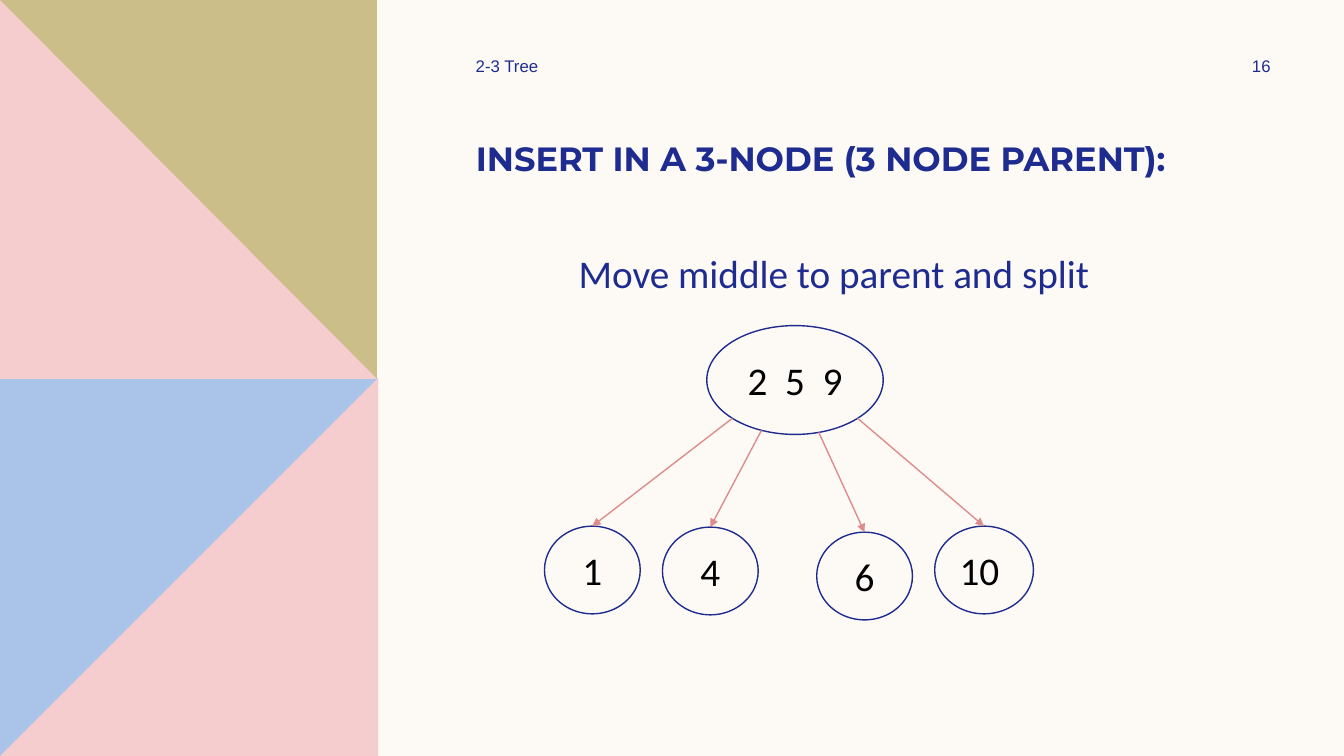
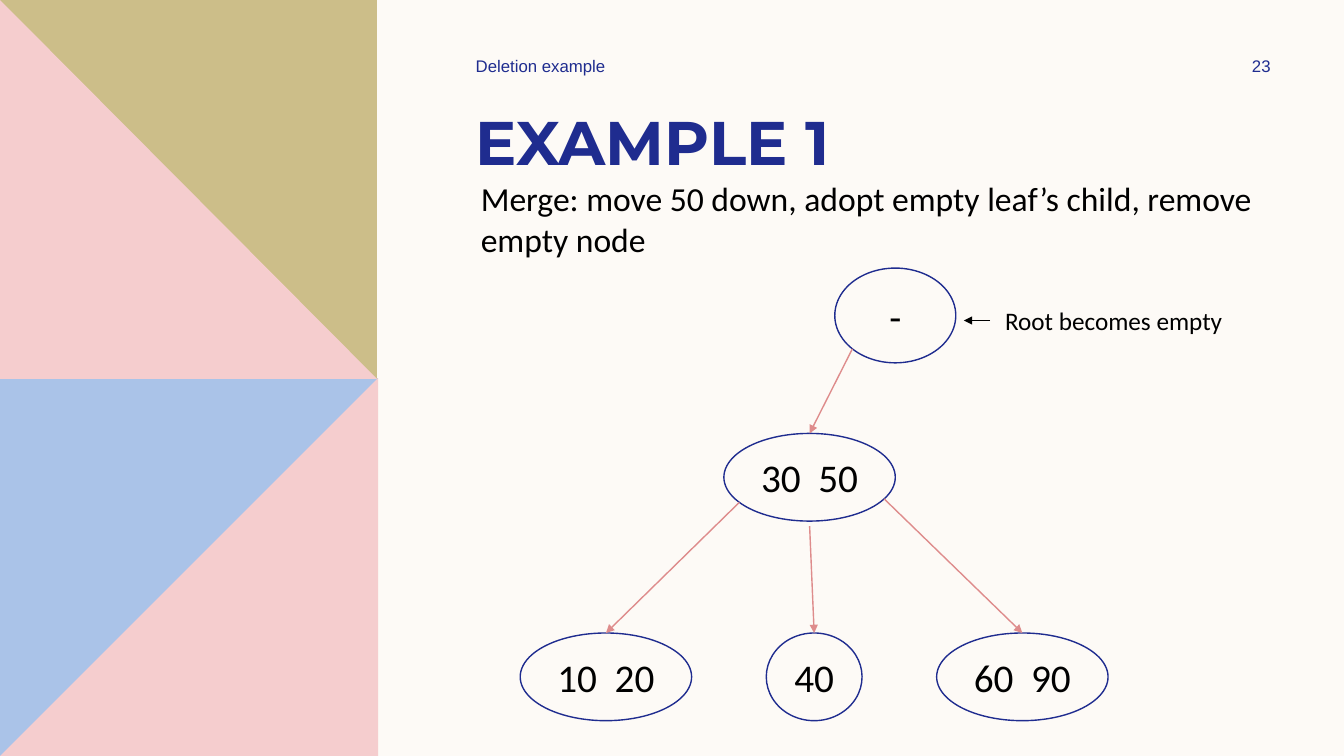
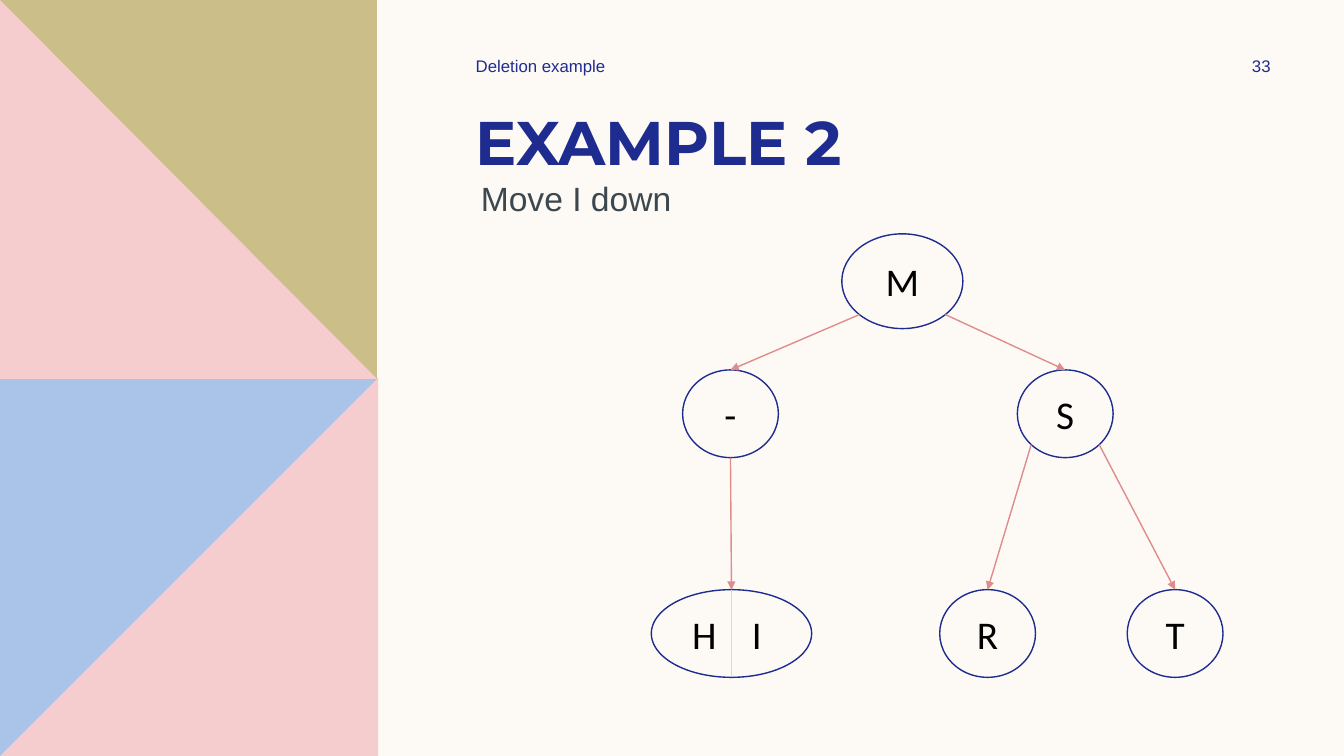
from dataclasses import dataclass
from math import sqrt

from lxml import etree
from pptx import Presentation
from pptx.dml.color import RGBColor
from pptx.enum.shapes import MSO_CONNECTOR, MSO_SHAPE
from pptx.enum.text import MSO_ANCHOR, PP_ALIGN
from pptx.oxml.ns import qn
from pptx.util import Inches, Pt

LEFT, CENTER = PP_ALIGN.LEFT, PP_ALIGN.CENTER
TOP, MIDDLE = MSO_ANCHOR.TOP, MSO_ANCHOR.MIDDLE
OVAL, STRAIGHT = MSO_SHAPE.OVAL, MSO_CONNECTOR.STRAIGHT
TITLE_ONLY = 5
DIAGONAL = 0.71  # share of the half width at 45 degrees on an ellipse


@dataclass(frozen=True)
class Theme:
    paper: str = "FDFAF6"
    navy: str = "1F2C8F"
    black: str = "000000"
    slate: str = "3C484E"
    pink: str = "F5CDCE"
    blue: str = "AAC3E8"
    olive: str = "CCBE89"
    arrow: str = "DE8C8C"
    title_font: str = "Montserrat"
    node_font: str = "Calibri"
    text_font: str = "Arial"
    title_size: int = 44
    node_size: int = 28
    text_size: int = 24
    note_size: int = 18
    footer_size: int = 12


def color(value):
    return RGBColor.from_string(value)


class Deck:
    def __init__(self, theme):
        self.theme = theme
        self.presentation = Presentation()
        self.presentation.slide_width = Inches(13.33)
        self.presentation.slide_height = Inches(7.5)
        self.layout = self.presentation.slide_layouts[TITLE_ONLY]
        self.slide = None
        background = self.presentation.slide_master.background.fill
        background.solid()
        background.fore_color.rgb = color(theme.paper)

    def style_run(self, run, font, size, ink, bold=False):
        run.font.name = font
        run.font.size = Pt(size)
        run.font.color.rgb = color(ink)
        run.font.bold = bold

    def add_slide(self, title, section, number, top=0.98, size=None):
        theme = self.theme
        first = self.slide is None
        self.slide = self.presentation.slides.add_slide(self.layout)
        if first:
            self.add_band()
        shape = self.slide.shapes.title
        shape.left, shape.top = Inches(4.62), Inches(top)
        shape.width, shape.height = Inches(7.4), Inches(0.84)
        shape.text_frame.text = title
        shape.text_frame.vertical_anchor = TOP
        paragraph = shape.text_frame.paragraphs[0]
        paragraph.alignment = LEFT
        self.style_run(paragraph.runs[0], theme.title_font,
                       size or theme.title_size, theme.navy, True)
        footer = dict(font=theme.text_font, size=theme.footer_size,
                      ink=theme.navy, anchor=MIDDLE)
        self.text(section, 4.62, 0.5, 3.5, 0.3, **footer)
        self.text(number, 11.97, 0.5, 1.08, 0.3, align=CENTER, **footer)

    def add_band(self):
        """Draw the triangles once and keep them on the shared layout."""
        theme = self.theme
        self.polygon(theme.blue, (0, 3.75), (3.75, 3.75), (3.75, 7.5), (0, 7.5))
        self.polygon(theme.pink, (3.75, 3.75), (3.75, 7.5), (0, 7.5))
        self.polygon(theme.olive, (0, 0), (3.74, 0), (3.74, 3.76), (0, 3.76))
        self.polygon(theme.pink, (0, 0), (3.74, 3.76), (0, 3.76))

    def polygon(self, fill, *points):
        corners = [(Inches(x), Inches(y)) for x, y in points]
        builder = self.slide.shapes.build_freeform(*corners[0])
        builder.add_line_segments(corners[1:], close=True)
        shape = builder.convert_to_shape()
        shape.shadow.inherit = False
        shape.fill.solid()
        shape.fill.fore_color.rgb = color(fill)
        shape.line.fill.background()
        self.layout.shapes._spTree.append(shape._element)

    def text(self, content, left, top, width, height, font, size, ink,
             align=LEFT, anchor=TOP, space_before=0, wrap=True):
        box = self.slide.shapes.add_textbox(
            Inches(left), Inches(top), Inches(width), Inches(height))
        frame = box.text_frame
        frame.text = content
        frame.word_wrap = wrap
        frame.vertical_anchor = anchor
        paragraph = frame.paragraphs[0]
        paragraph.alignment = align
        paragraph.space_before = Pt(space_before)
        self.style_run(paragraph.runs[0], font, size, ink)

    def node(self, keys, left, top, width=0.95, height=0.87, gap=6.3, shift=0):
        """Ellipse with its keys; gap (points) widens the space between keys."""
        theme = self.theme
        shape = self.slide.shapes.add_shape(
            OVAL, Inches(left), Inches(top), Inches(width), Inches(height))
        shape.shadow.inherit = False
        shape.fill.solid()
        shape.fill.fore_color.rgb = color(theme.paper)
        shape.line.color.rgb = color(theme.navy)
        shape.line.width = Pt(1)
        frame = shape.text_frame
        frame.vertical_anchor = MIDDLE
        frame.margin_left = Inches(0.05)
        frame.margin_right = Inches(0.05 + shift)
        paragraph = frame.paragraphs[0]
        paragraph.alignment = CENTER
        for index, key in enumerate(keys.split()):
            if index:
                space = paragraph.add_run()
                space.text = " "
                space._r.get_or_add_rPr().set("spc", str(round(gap * 100)))
            paragraph.add_run().text = key
        for run in paragraph.runs:
            self.style_run(run, theme.node_font, theme.node_size, theme.black)
        return shape

    def line(self, start, end, ink, width, arrowhead=True):
        connector = self.slide.shapes.add_connector(STRAIGHT, *start, *end)
        connector.line.color.rgb = color(ink)
        connector.line.width = Pt(width)
        if arrowhead:
            outline = connector.line._get_or_add_ln()
            etree.SubElement(outline, qn("a:tailEnd"), type="triangle")
        etree.SubElement(connector._element.spPr, qn("a:effectLst"))

    def branch(self, parent, child, lean, gap=0):
        """Arrow from the parent's lower edge to the top of the child.

        lean is the start's place, from -1 (left end) to 1 (right end).
        """
        half_width, half_height = parent.width / 2, parent.height / 2
        drop = half_height * (1 + sqrt(1 - lean ** 2))
        start = (int(parent.left + half_width * (1 + lean)),
                 int(parent.top + drop + Inches(gap)))
        end = (child.left + child.width // 2, child.top)
        self.line(start, end, self.theme.arrow, 1)


theme = Theme()
deck = Deck(theme)

# Insertion: the parent takes a third key
deck.add_slide("INSERT IN A 3-NODE (3 NODE PARENT):", "2-3 Tree", "16",
               top=1.32, size=24)
deck.text("Move middle to parent and split", 4.57, 2.42, 7.4, 0.6,
          theme.node_font, theme.node_size, theme.navy, CENTER,
          space_before=3.6)
root = deck.node("2 5 9", 7.01, 3.23, 1.75, 1.08)
leaves = [
    (deck.node("1", 5.4, 5.22), -DIAGONAL),
    (deck.node("4", 6.57, 5.23), -0.38),
    (deck.node("6", 8.1, 5.28), 0.27),
    (deck.node("10", 9.27, 5.22, 0.98, shift=0.09), DIAGONAL),
]
for leaf, lean in leaves:
    deck.branch(root, leaf, lean)

# Deletion, example 1: merge below an empty root
deck.add_slide("EXAMPLE 1", "Deletion example", "23")
deck.text("Merge: move 50 down, adopt empty leaf’s child, remove empty node",
          4.67, 1.72, 8.11, 0.91, theme.node_font, theme.text_size, theme.black)
root = deck.node("-", 8.28, 2.66, 1.2, 0.94)
merged = deck.node("30 50", 7.18, 4.3, 1.7)
deck.branch(root, merged, -DIAGONAL)
deck.branch(merged, deck.node("10 20", 5.16, 6.28, 1.7), -0.82)
deck.branch(merged, deck.node("40", 7.6, 6.28), 0, gap=0.05)
deck.branch(merged, deck.node("60 90", 9.29, 6.28, 1.7), 0.87)
deck.text("Root becomes empty", 9.87, 2.98, 2.44, 0.4, theme.node_font,
          theme.note_size, theme.black, wrap=False)
deck.line((Inches(9.82), Inches(3.18)), (Inches(9.56), Inches(3.18)),
          theme.black, 0.5)

# Deletion, example 2: a key moves down
deck.add_slide("EXAMPLE 2", "Deletion example", "33")
deck.text("Move I down", 4.67, 1.72, 8.38, 0.5, theme.text_font,
          theme.text_size, theme.slate)
root = deck.node("M", 8.35, 2.32, 1.2, 0.94)
empty = deck.node("-", 6.77, 3.67)
right = deck.node("S", 10.09, 3.67)
pair = deck.node("H I", 6.46, 5.85, 1.59, gap=19, shift=0.09)
deck.branch(root, empty, -DIAGONAL)
deck.branch(root, right, DIAGONAL)
deck.branch(empty, pair, 0)
deck.branch(right, deck.node("R", 9.32, 5.85), -DIAGONAL)
deck.branch(right, deck.node("T", 11.18, 5.85), DIAGONAL)
middle = pair.left + pair.width // 2
deck.line((middle, pair.top), (middle, pair.top + pair.height),
          theme.pink, 0.5, arrowhead=False)

deck.presentation.save("out.pptx")
